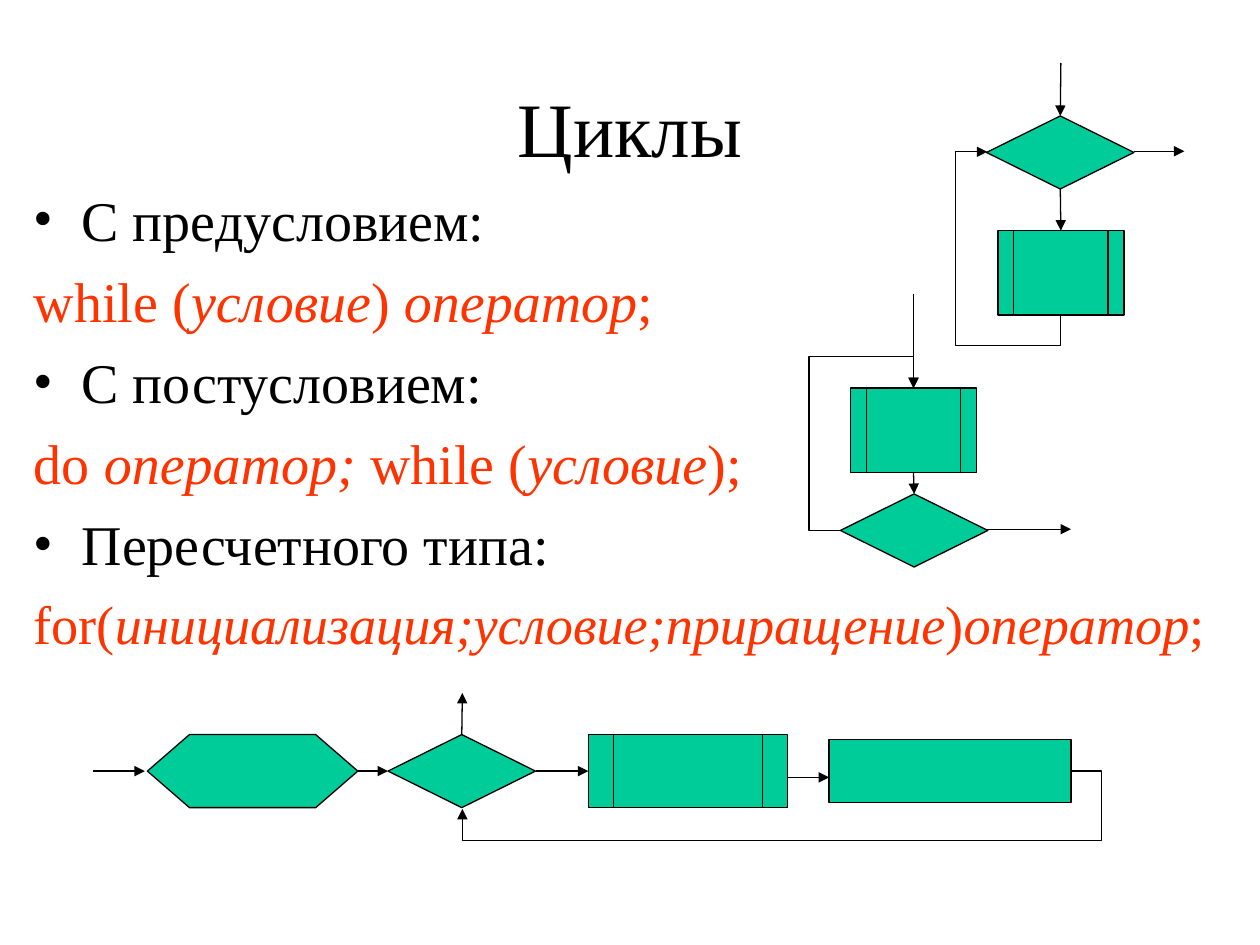
from lxml.etree import SubElement
from pptx import Presentation
from pptx.dml.color import RGBColor
from pptx.enum.shapes import MSO_CONNECTOR, MSO_SHAPE
from pptx.enum.text import MSO_ANCHOR, PP_ALIGN
from pptx.oxml.ns import qn
from pptx.util import Inches, Pt

COLORS = {"black": "000000", "code": "FF3300", "block": "00CC99"}
FONT = "Times New Roman"
TOP, LEFT, BOTTOM, RIGHT = range(4)
INDENT = 0.38

LOOPS = [
    ("С предусловием:", ["while (", "условие", ") ", "оператор", ";"], 32),
    ("С постусловием:", ["do ", "оператор; ", "while (", "условие", ");"], 32),
    ("Пересчетного типа:",
     ["for(", "инициализация;условие;приращение", ")", "оператор", ";"], 31),
]


def color(name):
    return RGBColor.from_string(COLORS[name])


def apply_format(target, values):
    for name, value in values.items():
        setattr(target, name, value)


def add_text_box(slide, box, anchor):
    shape = slide.shapes.add_textbox(*map(Inches, box))
    apply_format(shape.text_frame, {"word_wrap": True, "vertical_anchor": anchor})
    return shape.text_frame


def add_run(paragraph, text, size, color_name="black", italic=False):
    run = paragraph.add_run()
    run.text = text
    apply_format(run.font, {"name": FONT, "size": Pt(size), "italic": italic})
    run.font.color.rgb = color(color_name)


def add_title(slide, text):
    paragraph = add_text_box(slide, (0.75, 0.67, 8.5, 0.67), MSO_ANCHOR.MIDDLE).paragraphs[0]
    paragraph.alignment = PP_ALIGN.CENTER
    add_run(paragraph, text, 44)


def start_paragraph(frame, size, bullet=False):
    paragraph = frame.add_paragraph() if frame.paragraphs[0].runs else frame.paragraphs[0]
    paragraph.space_before = Pt(size / 4)
    properties = paragraph._p.get_or_add_pPr()
    properties.set("marL", str(Inches(INDENT)))
    properties.set("indent", str(Inches(-INDENT)))
    if bullet:
        SubElement(properties, qn("a:buFont"), typeface=FONT)
        SubElement(properties, qn("a:buChar"), char="•")
    else:
        SubElement(properties, qn("a:buNone"))
    return paragraph


def add_loop_list(slide):
    frame = add_text_box(slide, (0.17, 1.42, 9.67, 5.25), MSO_ANCHOR.TOP)
    for heading, code, size in LOOPS:
        add_run(start_paragraph(frame, 32, bullet=True), heading, 32)
        paragraph = start_paragraph(frame, size)
        for index, text in enumerate(code):
            add_run(paragraph, text, size, "code", italic=index % 2 == 1)


def add_block(slide, kind, left, top, width, height):
    shape = slide.shapes.add_shape(kind, *map(Inches, (left, top, width, height)))
    shape.shadow.inherit = False
    shape.fill.solid()
    shape.fill.fore_color.rgb = color("block")
    shape.line.color.rgb = color("black")
    shape.line.width = Pt(0.75)
    return shape


def add_arrow(slide, start, end, source=None, target=None, kind=MSO_CONNECTOR.STRAIGHT):
    connector = slide.shapes.add_connector(kind, *map(Inches, (*start, *end)))
    connector.line.color.rgb = color("black")
    connector.line.width = Pt(0.75)
    SubElement(connector.line._get_or_add_ln(), qn("a:tailEnd"), type="triangle")
    SubElement(connector._element.spPr, qn("a:effectLst"))
    if source:
        connector.begin_connect(*source)
    if target:
        connector.end_connect(*target)
    return connector


def add_return_arrow(slide, source, target, frame, adjustments, transform):
    connector = add_arrow(slide, (0, 0), (1, 1), source, target, MSO_CONNECTOR.ELBOW)
    lengths = map(Inches, frame)
    apply_format(connector, dict(zip(("left", "top", "width", "height"), lengths)))
    properties = connector._element.spPr
    position = properties.find(qn("a:xfrm"))
    for name in ("flipH", "flipV"):
        position.attrib.pop(name, None)
    for name, value in transform.items():
        position.set(name, value)
    geometry = properties.find(qn("a:prstGeom"))
    geometry.set("prst", "bentConnector4")
    guides = geometry.find(qn("a:avLst"))
    for number, value in enumerate(adjustments, 1):
        SubElement(guides, qn("a:gd"), name=f"adj{number}", fmla=f"val {round(value * 100000)}")


def add_while_chart(slide):
    condition = add_block(slide, MSO_SHAPE.FLOWCHART_DECISION, 7.83, 0.92, 1.17, 0.58)
    body = add_block(slide, MSO_SHAPE.FLOWCHART_PREDEFINED_PROCESS, 7.92, 1.83, 1, 0.67)
    add_arrow(slide, (8.42, 0.5), (8.42, 0.92), target=(condition, TOP))
    add_arrow(slide, (8.42, 1.5), (8.42, 1.83), (condition, BOTTOM), (body, TOP))
    add_arrow(slide, (9, 1.2), (9.4, 1.2))
    add_return_arrow(slide, (body, BOTTOM), (condition, LEFT), (7.48, 1.56, 1.29, 0.58),
                     (-0.19, 1.43), {"rot": "16200000", "flipV": "1"})


def add_do_while_chart(slide):
    body = add_block(slide, MSO_SHAPE.FLOWCHART_PREDEFINED_PROCESS, 6.75, 3.08, 1, 0.67)
    condition = add_block(slide, MSO_SHAPE.FLOWCHART_DECISION, 6.67, 3.92, 1.17, 0.58)
    add_arrow(slide, (7.25, 2.33), (7.25, 3.08), target=(body, TOP))
    add_arrow(slide, (7.25, 3.75), (7.25, 3.92), (body, BOTTOM), (condition, TOP))
    add_arrow(slide, (7.83, 4.2), (8.5, 4.2))
    add_return_arrow(slide, (condition, LEFT), (body, TOP), (6.67, 3.08, 0.58, 1.13),
                     (-0.43, 1.22), {"rot": "10800000", "flipH": "1"})


def add_for_chart(slide):
    start = add_block(slide, MSO_SHAPE.FLOWCHART_PREPARATION, 1.17, 5.83, 1.67, 0.58)
    condition = add_block(slide, MSO_SHAPE.DIAMOND, 3.08, 5.83, 1.17, 0.58)
    body = add_block(slide, MSO_SHAPE.FLOWCHART_PREDEFINED_PROCESS, 4.67, 5.83, 1.58, 0.58)
    step = add_block(slide, MSO_SHAPE.RECTANGLE, 6.58, 5.87, 1.92, 0.5)
    add_arrow(slide, (0.74, 6.12), (1.15, 6.12))
    add_arrow(slide, (2.83, 6.12), (3.08, 6.12), (start, RIGHT), (condition, LEFT))
    add_arrow(slide, (3.67, 5.83), (3.67, 5.5), source=(condition, TOP))
    add_arrow(slide, (4.25, 6.12), (4.67, 6.12), (condition, RIGHT), (body, LEFT))
    add_arrow(slide, (6.25, 6.17), (6.58, 6.17))
    add_return_arrow(slide, (step, RIGHT), (condition, BOTTOM), (3.67, 6.12, 4.83, 0.3),
                     (-0.05, 1.84), {"flipH": "1"})


def main():
    presentation = Presentation()
    apply_format(presentation, {"slide_width": Inches(10), "slide_height": Inches(7.5)})
    slide = presentation.slides.add_slide(presentation.slide_layouts[6])
    add_title(slide, "Циклы")
    add_loop_list(slide)
    add_while_chart(slide)
    add_do_while_chart(slide)
    add_for_chart(slide)
    presentation.save("out.pptx")


if __name__ == "__main__":
    main()
